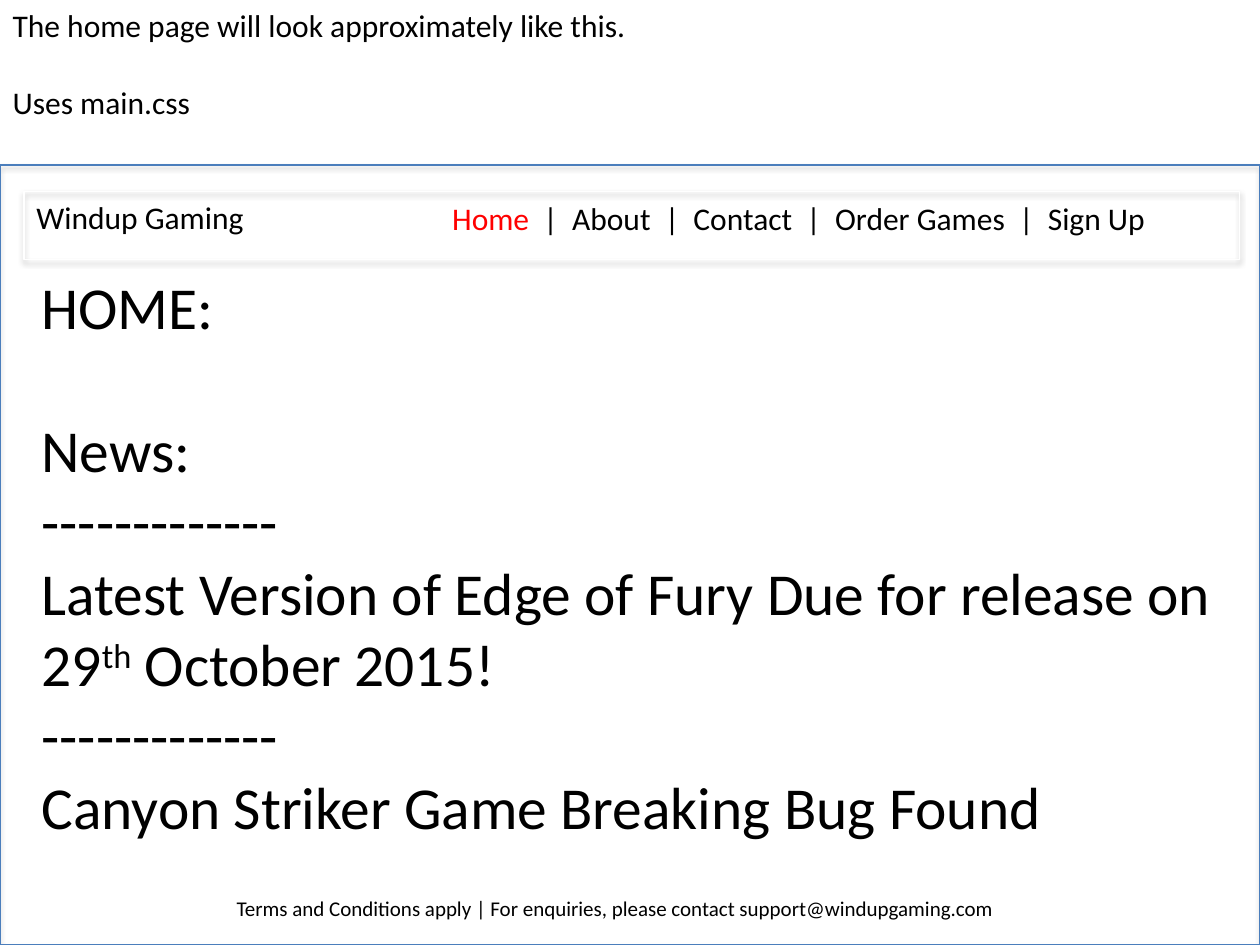
from lxml.etree import SubElement
from pptx import Presentation
from pptx.dml.color import RGBColor
from pptx.enum.shapes import MSO_SHAPE as Shape
from pptx.enum.text import MSO_ANCHOR as Anchor, MSO_AUTO_SIZE as AutoSize, PP_ALIGN as Align
from pptx.oxml.ns import qn
from pptx.util import Inches, Pt

COLORS = {"text": "000000", "active": "FF0000", "frame": "4B7EBC", "bar": "FFFFFF"}
FONT = "Calibri"
WIDTH, HEIGHT = Inches(10), Inches(7.5)
COLUMNS, ROWS = 100, 75
RULE = "-" * 13


def grid(column, row, columns, rows):
    x_unit, y_unit = WIDTH / COLUMNS, HEIGHT / ROWS
    return [int(value) for value in
            (column * x_unit, row * y_unit, columns * x_unit, rows * y_unit)]


def color(name):
    return RGBColor.from_string(COLORS[name])


def format_run(run, size, color_name="text"):
    run.font.name = FONT
    run.font.size = Pt(size)
    run.font.color.rgb = color(color_name)


def write(shape, paragraphs, size):
    text_frame = shape.text_frame
    text_frame.text = "\n".join(paragraphs)
    text_frame.word_wrap = True
    text_frame.auto_size = AutoSize.NONE
    text_frame.vertical_anchor = Anchor.TOP
    for paragraph in text_frame.paragraphs:
        paragraph.alignment = Align.LEFT
        paragraph.space_before = Pt(0)
        for run in paragraph.runs:
            format_run(run, size)
    return text_frame.paragraphs


def add_text(slide, cells, text, size):
    return write(slide.shapes.add_textbox(*grid(*cells)), [text], size)[0]


def fill_placeholder(placeholder, cells, paragraphs, size):
    placeholder.left, placeholder.top, placeholder.width, placeholder.height = grid(*cells)
    return write(placeholder, paragraphs, size)


def remove_bullet(paragraph):
    properties = paragraph._p.get_or_add_pPr()
    properties.set("marL", "0")
    properties.set("indent", "0")
    SubElement(properties, qn("a:buNone"))


def add_tab_stop(paragraph, position):
    tabs = SubElement(paragraph._p.get_or_add_pPr(), qn("a:tabLst"))
    SubElement(tabs, qn("a:tab"), pos=str(position), algn="l")


def add_frame(slide, cells, line_color):
    shape = slide.shapes.add_shape(Shape.RECTANGLE, *grid(*cells))
    shape.fill.background()
    shape.line.color.rgb = color(line_color)
    shape.line.width = Pt(0.75)
    shape.shadow.inherit = False
    effects = shape._element.spPr.find(qn("a:effectLst"))
    shadow = SubElement(effects, qn("a:outerShdw"), blurRad=str(Pt(3.1)),
                        dist=str(Pt(1.8)), dir="5400000", rotWithShape="0")
    shade = SubElement(shadow, qn("a:srgbClr"), val=COLORS["text"])
    SubElement(shade, qn("a:alpha"), val="35000")


def add_note(slide):
    note = ["The home page will look approximately like this.", "Uses main.css"]
    paragraphs = fill_placeholder(slide.shapes.title, (0, 0, 60, 13.1), note, 18)
    paragraphs[1].space_before = Pt(22)


def add_navigation(slide):
    add_frame(slide, (1.9, 15.2, 96.5, 5.4), "bar")
    add_text(slide, (1.9, 15.2, 19.2, 4), "Windup Gaming", 18)
    menu = add_text(slide, (34.9, 15.3, 63.5, 4), "Home", 18)
    add_tab_stop(menu, Inches(4.5))
    format_run(menu.runs[0], 18, "active")
    links = menu.add_run()
    links.text = "  |  About  |  Contact  |  Order Games\t|  Sign Up"
    format_run(links, 18)


def add_news(slide):
    news = ["HOME:", "News:", RULE,
            "Latest Version of Edge of Fury Due for release on 29",
            RULE, "Canyon Striker Game Breaking Bug Found"]
    paragraphs = fill_placeholder(slide.placeholders[1], (2.3, 20.9, 96, 49.8), news, 34)
    for paragraph in paragraphs:
        remove_bullet(paragraph)
    paragraphs[1].space_before = Pt(41)
    for text, baseline in (("th", "30000"), (" October 2015!", "0")):
        run = paragraphs[3].add_run()
        run.text = text
        format_run(run, 34)
        run._r.get_or_add_rPr().set("baseline", baseline)


def main():
    presentation = Presentation()
    presentation.slide_width, presentation.slide_height = WIDTH, HEIGHT
    slide = presentation.slides.add_slide(presentation.slide_layouts[1])
    add_note(slide)
    add_frame(slide, (0, 13.1, 100, 61.9), "frame")
    add_navigation(slide)
    add_news(slide)
    add_text(slide, (17.8, 70.6, 64.7, 3),
             "Terms and Conditions apply | For enquiries, please contact support@windupgaming.com", 12)
    presentation.save("out.pptx")


if __name__ == "__main__":
    main()
